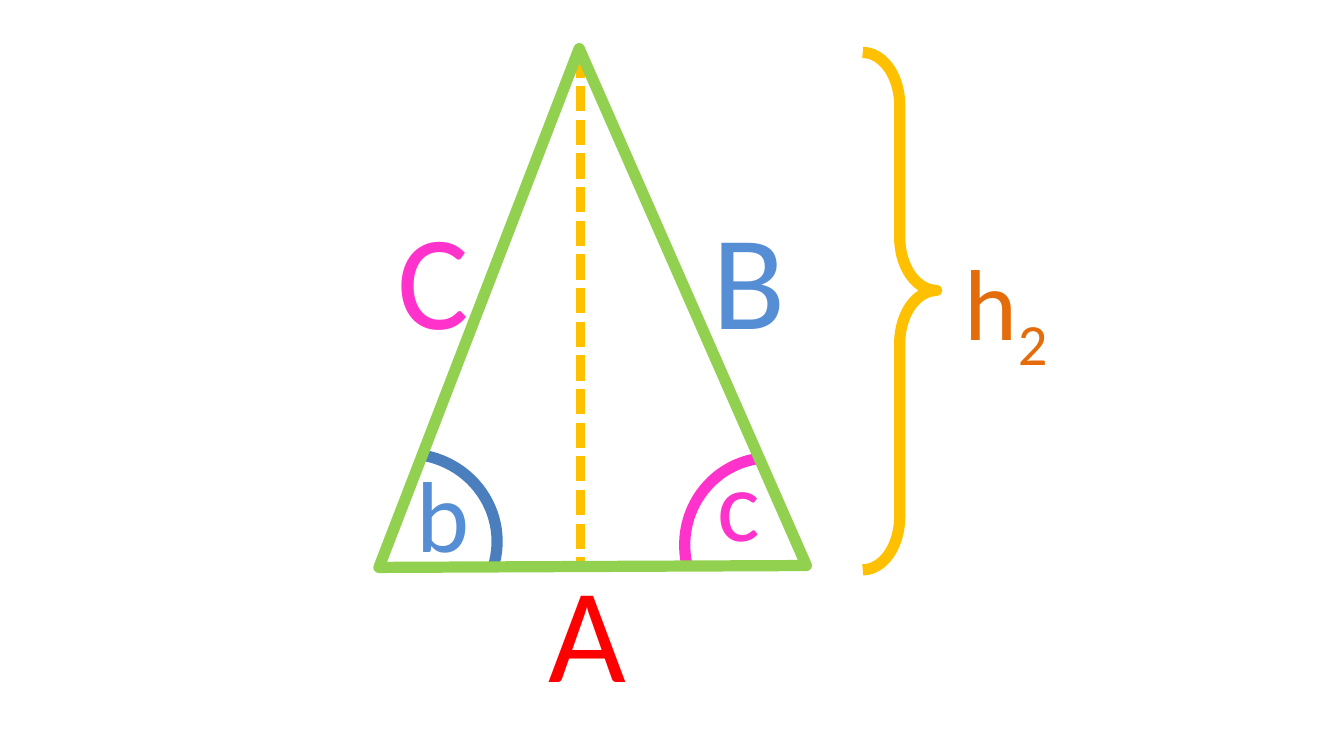
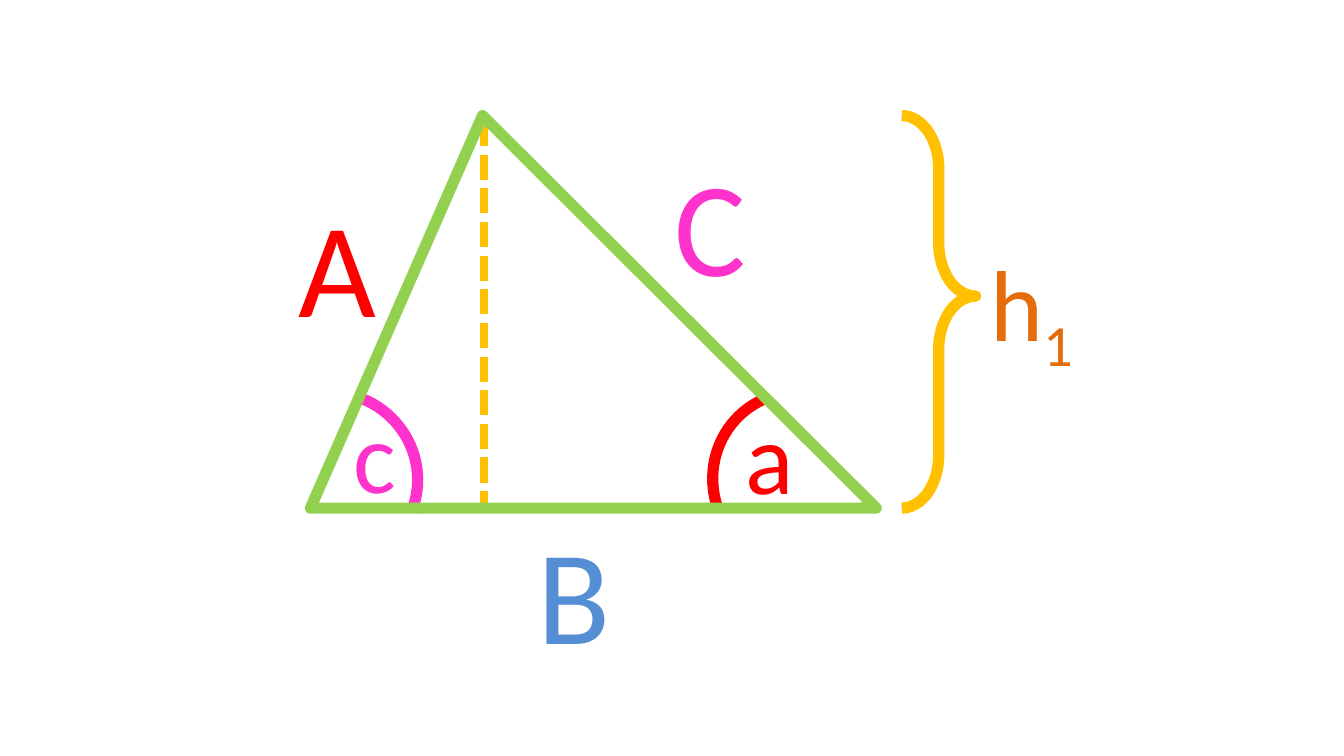
import pptx
import pptx.dml.color
import pptx.enum.dml
import pptx.enum.shapes
import pptx.enum.text
import pptx.oxml
import pptx.util
from pptx.util import Pt

SHAPE = pptx.enum.shapes.MSO_SHAPE
RED, BLUE, PINK = "FF0000", "558ED5", "FF33CC"
GREEN, GOLD, ORANGE, ARC_BLUE = "92D050", "FFC000", "E46C0A", "4B7EBC"
LETTER_COLOURS = {"a": RED, "b": BLUE, "c": PINK, "h": ORANGE}
ARC_W, ARC_H, BRACE_W = 94.3, 92.2, 39.6

# Each arc: left, top, rotation, start angle adjustment, colour.
# Each label: text, left, top, width; a digit after the letter is a subscript.
slides = [
    dict(
        triangle=[(432, 303), (203, 304), (310.3, 26)],
        height=(311, 28.1, 305.3),
        arcs=[(365.8, 246.2, 260.9, 157.98, PINK),
              (172.1, 243.4, 18.1, 156.11, ARC_BLUE)],
        brace_left=462.2,
        labels=[("C", 205.9, 100.8, 48.2), ("A", 286.6, 290.2, 48.2),
                ("B", 374.4, 100.8, 48.2), ("c", 377.3, 232.6, 48.2),
                ("b", 216, 238.3, 48.2), ("h2", 509.8, 124.6, 72)],
    ),
    dict(
        triangle=[(166.3, 272.2), (258.5, 61.9), (469.4, 272.2)],
        height=(259.2, 64.8, 272.2),
        arcs=[(380.9, 211, 249, 162, RED),
              (129.6, 210.2, 22.2, 162, PINK)],
        brace_left=483.1,
        labels=[("C", 354.2, 72.7, 48.2), ("A", 152.6, 94.3, 48.2),
                ("B", 280.8, 270, 48.2), ("a", 392.4, 207.4, 36),
                ("c", 182.2, 206.6, 48.2), ("h1", 523.4, 125.3, 72)],
    ),
]


def rgb(colour):
    return pptx.dml.color.RGBColor.from_string(colour)


def outline(sp, colour):
    """Leave only a thick outline: no fill and no shadow."""
    sp.shadow.inherit = False
    sp.fill.background()
    sp.line.color.rgb = rgb(colour)
    sp.line.width = Pt(6)


prs = pptx.Presentation()
prs.slide_width, prs.slide_height = Pt(720), Pt(405)

for figure in slides:
    s = prs.slides.add_slide(prs.slide_layouts[6])

    x, top, bottom = figure["height"]
    cx = s.shapes.add_connector(pptx.enum.shapes.MSO_CONNECTOR.STRAIGHT,
                                Pt(x), Pt(top), Pt(x), Pt(bottom))
    cx.line.color.rgb = rgb(GOLD)
    cx.line.width = Pt(4.5)
    cx.line.dash_style = pptx.enum.dml.MSO_LINE.SQUARE_DOT
    cx._element.spPr.append(pptx.oxml.parse_xml(
        '<a:effectLst xmlns:a="http://schemas.openxmlformats.org/drawingml/2006/main"/>'))

    for left, arc_top, rotation, start, colour in figure["arcs"]:
        sp = s.shapes.add_shape(SHAPE.ARC, Pt(left), Pt(arc_top), Pt(ARC_W), Pt(ARC_H))
        sp.adjustments[0] = start
        sp.adjustments[1] = 0
        sp.rotation = rotation
        outline(sp, colour)

    corners = [(Pt(px), Pt(py)) for px, py in figure["triangle"]]
    builder = s.shapes.build_freeform(*corners[0])
    builder.add_line_segments(corners[1:], close=True)
    outline(builder.convert_to_shape(), GREEN)

    brace_top = 28.1 if figure is slides[0] else 61.9
    brace_bottom = bottom
    sp = s.shapes.add_shape(SHAPE.RIGHT_BRACE, Pt(figure["brace_left"]), Pt(brace_top),
                            Pt(BRACE_W), Pt(brace_bottom - brace_top))
    sp.adjustments[0] = 0.72
    sp.adjustments[1] = 0.46
    outline(sp, GOLD)

    for text, left, label_top, width in figure["labels"]:
        size, height = (72, 94.3) if text.isupper() else (54, 72.7)
        tf = s.shapes.add_textbox(Pt(left), Pt(label_top), Pt(width), Pt(height)).text_frame
        tf.word_wrap = True
        tf.auto_size = pptx.enum.text.MSO_AUTO_SIZE.SHAPE_TO_FIT_TEXT
        p = tf.paragraphs[0]
        for char in text:
            r = p.add_run()
            r.text = char
            r.font.name = "Calibri"
            r.font.size = Pt(size)
            r.font.color.rgb = rgb(LETTER_COLOURS[text[0].lower()])
            if char.isdigit():
                r.font._element.set("baseline", "-25000")

prs.save("out.pptx")
